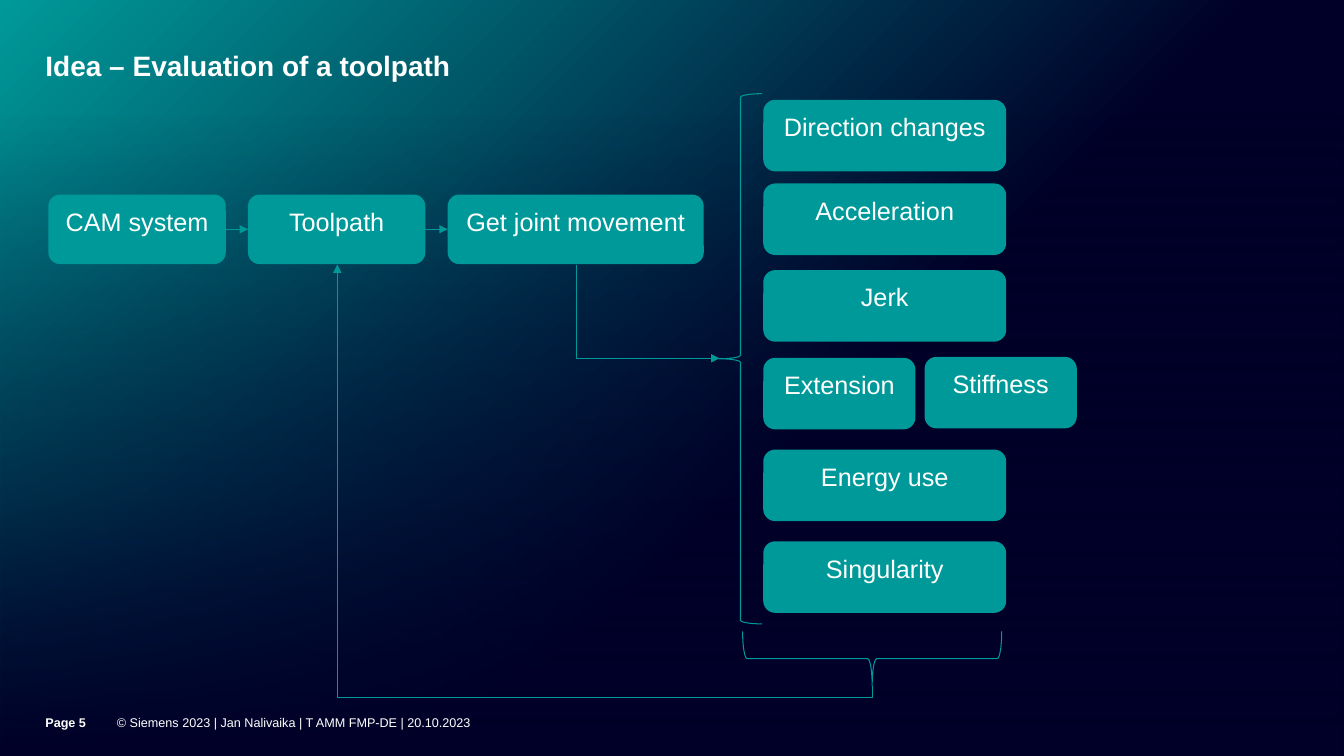
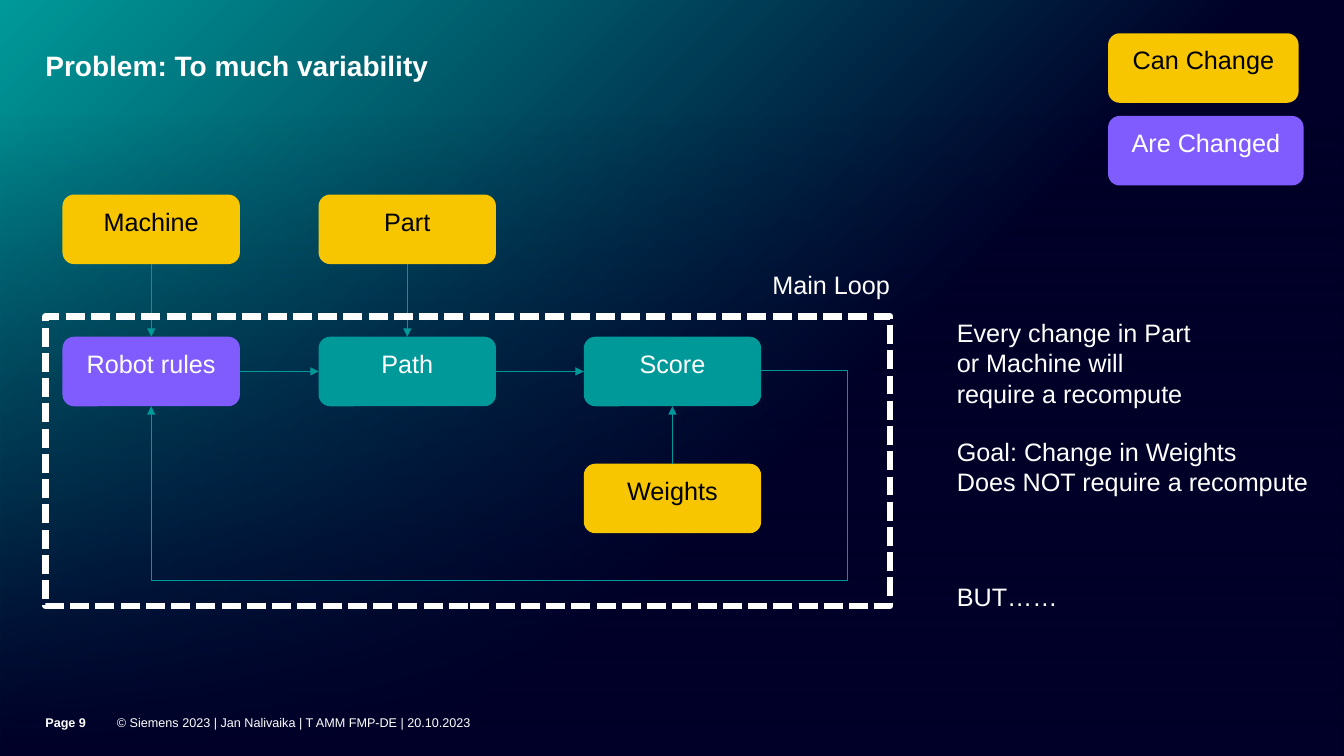
"""Build two slides on evaluating a toolpath and coping with its variability."""
from dataclasses import dataclass
from enum import IntEnum
from typing import Any, NamedTuple, Optional

from lxml import etree
from pptx import Presentation
from pptx import presentation as pr
from pptx import slide as sl
from pptx import util as u
from pptx.dml import color as c
from pptx.enum import dml, shapes, text
from pptx.oxml import ns
from pptx.shapes import autoshape as au
from pptx.shapes import connector as cn
from pptx.text import text as tt


@dataclass(frozen=True)
class Theme:
    """Colours, type sizes and line widths of the deck."""
    night: c.RGBColor = c.RGBColor(0x00, 0x00, 0x28)
    petrol: c.RGBColor = c.RGBColor(0x00, 0x99, 0x99)
    yellow: c.RGBColor = c.RGBColor(0xF7, 0xC6, 0x00)
    purple: c.RGBColor = c.RGBColor(0x80, 0x5C, 0xFF)
    white: c.RGBColor = c.RGBColor(0xFF, 0xFF, 0xFF)
    black: c.RGBColor = c.RGBColor(0x00, 0x00, 0x00)
    font: str = "Arial"
    title: u.Pt = u.Pt(20)
    body: u.Pt = u.Pt(18)
    footer: u.Pt = u.Pt(9)
    thin: u.Pt = u.Pt(0.75)
    thick: u.Pt = u.Pt(4.5)


THEME = Theme()
COPYRIGHT = "© Siemens 2023 | Jan Nalivaika | T AMM FMP-DE | 20.10.2023"
STEP_WIDTH, STEP_HEIGHT = 1.76, 0.69
METRIC_LEFT, METRIC_WIDTH, METRIC_HEIGHT = 7.57, 2.41, 0.71


class Side(IntEnum):
    """Connection sites of a rectangle."""
    TOP = 0
    LEFT = 1
    BOTTOM = 2
    RIGHT = 3


class Area(NamedTuple):
    """Position and size in inches."""
    left: float
    top: float
    width: float
    height: float

    def lengths(self) -> list[u.Length]:
        """Return the four values as lengths."""
        return [u.Inches(value) for value in self]


class Stop(NamedTuple):
    """Gradient stop in percent."""
    position: int
    opacity: int
    colour: c.RGBColor


@dataclass(frozen=True)
class Node:
    """Rounded box of a flow chart."""
    label: str
    left: float
    top: float
    width: float = STEP_WIDTH
    height: float = STEP_HEIGHT
    fill: c.RGBColor = THEME.petrol
    ink: c.RGBColor = THEME.white


@dataclass(frozen=True)
class Elbow:
    """Bent arrow given by its unrotated begin and end points."""
    preset: str
    begin: tuple[float, float]
    end: tuple[float, float]
    turn: int = 0
    adjustments: tuple[int, ...] = ()


@dataclass(frozen=True)
class Note:
    """Free text that keeps its own line breaks."""
    area: Area
    lines: tuple[str, ...]


def assign(target: Any, values: dict[str, Any]) -> None:
    """Set each named attribute of the target."""
    for name, value in values.items():
        setattr(target, name, value)


def write(frame: tt.TextFrame, lines: tuple[str, ...], size: u.Length,
          ink: c.RGBColor = THEME.white, bold: bool = False,
          insets: tuple[float, ...] = (0, 0, 0, 0),
          layout: Optional[dict[str, Any]] = None,
          paragraph_format: Optional[dict[str, Any]] = None) -> None:
    """Fill a text frame with formatted paragraphs."""
    sides = ("margin_left", "margin_top", "margin_right", "margin_bottom")
    frame_format = {"word_wrap": True, "vertical_anchor": text.MSO_ANCHOR.TOP}
    frame_format.update(zip(sides, map(u.Inches, insets)))
    assign(frame, {**frame_format, **(layout or {})})
    for index, line in enumerate(lines):
        paragraph = frame.add_paragraph() if index else frame.paragraphs[0]
        assign(paragraph, {"alignment": text.PP_ALIGN.LEFT, **(paragraph_format or {})})
        run = paragraph.add_run()
        run.text = line
        assign(run.font, {"name": THEME.font, "size": size, "bold": bold})
        run.font.color.rgb = ink


def set_gradient(owner: Any, stops: list[Stop], shade: str,
                 shade_values: dict[str, str], focus: Optional[dict[str, str]] = None) -> None:
    """Replace the stops and direction of the owner's gradient."""
    gradient = owner.find(f".//{ns.qn('a:gradFill')}")
    for child in list(gradient):
        gradient.remove(child)
    stop_list = etree.SubElement(gradient, ns.qn("a:gsLst"))
    for stop in stops:
        entry = etree.SubElement(stop_list, ns.qn("a:gs"), pos=str(stop.position * 1000))
        tint = etree.SubElement(entry, ns.qn("a:srgbClr"), val=str(stop.colour))
        if stop.opacity < 100:
            etree.SubElement(tint, ns.qn("a:alpha"), val=str(stop.opacity * 1000))
    direction = etree.SubElement(gradient, ns.qn(shade), shade_values)
    if focus:
        etree.SubElement(direction, ns.qn("a:fillToRect"), focus)


def add_outline(slide: sl.Slide, kind: shapes.MSO_SHAPE, area: Area,
                ink: c.RGBColor, width: u.Length) -> au.Shape:
    """Draw an unfilled shape."""
    outline = slide.shapes.add_shape(kind, *area.lengths())
    outline.shadow.inherit = False
    outline.fill.background()
    outline.line.color.rgb = ink
    outline.line.width = width
    return outline


def add_node(slide: sl.Slide, node: Node) -> au.Shape:
    """Draw a labelled rounded box."""
    area = Area(node.left, node.top, node.width, node.height)
    box = slide.shapes.add_shape(shapes.MSO_SHAPE.ROUNDED_RECTANGLE, *area.lengths())
    box.shadow.inherit = False
    box.fill.solid()
    box.fill.fore_color.rgb = node.fill
    box.line.fill.background()
    write(box.text_frame, (node.label,), THEME.body, node.ink,
          insets=(0.12, 0.08, 0.12, 0.08),
          paragraph_format={"alignment": text.PP_ALIGN.CENTER})
    return box


def add_note(slide: sl.Slide, note: Note) -> None:
    """Draw free text."""
    box = slide.shapes.add_textbox(*note.area.lengths())
    write(box.text_frame, note.lines, THEME.body,
          layout={"word_wrap": False, "auto_size": text.MSO_AUTO_SIZE.SHAPE_TO_FIT_TEXT})


def style_arrow(arrow: cn.Connector) -> None:
    """Give a connector its colour, width and arrowhead."""
    arrow.line.color.rgb = THEME.petrol
    arrow.line.width = THEME.thin
    properties = arrow.element.spPr
    etree.SubElement(properties.find(ns.qn("a:ln")), ns.qn("a:tailEnd"), type="triangle")
    etree.SubElement(properties, ns.qn("a:effectLst"))


def join(slide: sl.Slide, source: au.Shape, source_side: Side,
         target: au.Shape, target_side: Side) -> None:
    """Draw a straight arrow between two boxes."""
    arrow = slide.shapes.add_connector(shapes.MSO_CONNECTOR.STRAIGHT, 0, 0, 0, 0)
    arrow.begin_connect(source, source_side)
    arrow.end_connect(target, target_side)
    style_arrow(arrow)


def add_elbow(slide: sl.Slide, elbow: Elbow) -> None:
    """Draw a bent arrow."""
    arrow = slide.shapes.add_connector(
        shapes.MSO_CONNECTOR.ELBOW, *map(u.Inches, elbow.begin + elbow.end))
    properties = arrow.element.spPr
    if elbow.turn:
        properties.find(ns.qn("a:xfrm")).set("rot", str(elbow.turn * 60000))
    geometry = properties.find(ns.qn("a:prstGeom"))
    geometry.set("prst", elbow.preset)
    guides = geometry.find(ns.qn("a:avLst"))
    if guides is None:
        guides = etree.SubElement(geometry, ns.qn("a:avLst"))
    for number, value in enumerate(elbow.adjustments, 1):
        etree.SubElement(guides, ns.qn("a:gd"), name=f"adj{number}", fmla=f"val {value}")
    style_arrow(arrow)


def set_backdrop(deck: pr.Presentation, layout: sl.SlideLayout, slide: sl.Slide) -> None:
    """Put the glow on the master and the fading band on the layout."""
    master = deck.slide_master
    master.background.fill.gradient()
    set_gradient(master.element, [Stop(40, 100, THEME.night), Stop(100, 100, THEME.petrol)],
                 "a:path", {"path": "circle"},
                 {"l": "100000", "t": "100000", "r": "0", "b": "0"})
    band = slide.shapes.add_shape(shapes.MSO_SHAPE.RECTANGLE,
                                  *Area(0, 1.15, 13.33, 6.35).lengths())
    band.shadow.inherit = False
    band.line.fill.background()
    band.fill.gradient()
    set_gradient(band.element, [Stop(0, 100, THEME.night), Stop(40, 50, THEME.night),
                                Stop(100, 0, THEME.night)],
                 "a:lin", {"ang": str(270 * 60000), "scaled": "0"})
    layout.shapes.element.insert(2, band.element)


def start_slide(deck: pr.Presentation, layout: sl.SlideLayout,
                heading: str, page: int) -> sl.Slide:
    """Add a slide with its title and footer."""
    slide = deck.slides.add_slide(layout)
    title = slide.shapes.title
    assign(title, dict(zip(Area._fields, Area(0.45, 0.52, 10.79, 0.63).lengths())))
    write(title.text_frame, (heading,), THEME.title, bold=True, insets=(0, 0, 0.35, 0.02),
          layout={"auto_size": text.MSO_AUTO_SIZE.NONE},
          paragraph_format={"line_spacing": 0.9})
    footers = ((COPYRIGHT, 1.16, 10.08, False), (f"Page {page}", 0.45, 0.71, True))
    for label, left, width, bold in footers:
        footer = slide.shapes.add_textbox(*Area(left, 6.9, width, 0.6).lengths())
        write(footer.text_frame, (label,), THEME.footer, bold=bold, insets=(0, 0, 0, 0.07),
              layout={"vertical_anchor": text.MSO_ANCHOR.MIDDLE})
    return slide


def draw_evaluation(slide: sl.Slide) -> None:
    """Draw the path from the toolpath to its metrics and back."""
    steps = (("CAM system", STEP_WIDTH), ("Toolpath", STEP_WIDTH), ("Get joint movement", 2.54))
    flow = [add_node(slide, Node(label, 0.48 + 1.98 * index, 1.93, width))
            for index, (label, width) in enumerate(steps)]
    metrics = (("Direction changes", 0.99), ("Acceleration", 1.82), ("Jerk", 2.68),
               ("Energy use", 4.46), ("Singularity", 5.37))
    for label, top in metrics:
        add_node(slide, Node(label, METRIC_LEFT, top, METRIC_WIDTH, METRIC_HEIGHT))
    for label, left, top in (("Extension", METRIC_LEFT, 3.55), ("Stiffness", 9.17, 3.54)):
        add_node(slide, Node(label, left, top, 1.51, METRIC_HEIGHT))
    for source, target in zip(flow, flow[1:]):
        join(slide, source, Side.RIGHT, target, Side.LEFT)
    add_outline(slide, shapes.MSO_SHAPE.LEFT_BRACE, Area(7.13, 0.93, 0.43, 5.26),
                THEME.petrol, THEME.thin)
    feedback_brace = add_outline(slide, shapes.MSO_SHAPE.RIGHT_BRACE,
                                 Area(8.38, 5.25, 0.54, 2.57), THEME.petrol, THEME.thin)
    feedback_brace.rotation = 90
    add_elbow(slide, Elbow("bentConnector2", (6.89, 2.38), (5.96, 3.8), 270))
    add_elbow(slide, Elbow("bentConnector3", (3.91, 7.37), (8.09, 2.06), 270, (-2800,)))


def draw_variability(slide: sl.Slide) -> None:
    """Draw the main loop with its changing inputs."""
    changeable = {"fill": THEME.yellow, "ink": THEME.black}
    rules_left, path_left, score_left = 0.62, 3.16, 5.79
    input_top, loop_top = 1.93, 3.34
    rules = add_node(slide, Node("Robot rules", rules_left, loop_top, fill=THEME.purple))
    part = add_node(slide, Node("Part", path_left, input_top, **changeable))
    path_step = add_node(slide, Node("Path", path_left, loop_top))
    score = add_node(slide, Node("Score", score_left, loop_top))
    weights = add_node(slide, Node("Weights", score_left, 4.6, **changeable))
    machine = add_node(slide, Node("Machine", rules_left, input_top, **changeable))
    add_node(slide, Node("Can Change", 10.99, 0.33, 1.89, **changeable))
    add_node(slide, Node("Are Changed", 10.99, 1.15, 1.94, fill=THEME.purple))
    for source, target in ((machine, rules), (part, path_step)):
        join(slide, source, Side.BOTTOM, target, Side.TOP)
    for source, target in ((rules, path_step), (path_step, score)):
        join(slide, source, Side.RIGHT, target, Side.LEFT)
    join(slide, weights, Side.TOP, score, Side.BOTTOM)
    add_elbow(slide, Elbow("bentConnector4", (7.55, 3.68), (1.5, 4.03), 0, (-14100, 593200)))
    loop = add_outline(slide, shapes.MSO_SHAPE.RECTANGLE, Area(0.45, 3.14, 8.38, 2.87),
                       THEME.white, THEME.thick)
    loop.line.dash_style = dml.MSO_LINE.SQUARE_DOT
    notes = (
        Note(Area(7.66, 2.67, 1.18, 0.3), ("Main Loop",)),
        Note(Area(9.49, 3.15, 2.34, 0.91),
             ("Every change in Part", "or Machine will", "require a recompute")),
        Note(Area(9.49, 4.33, 3.59, 0.61),
             ("Goal: Change in Weights", "Does NOT require a recompute")),
        Note(Area(9.49, 5.77, 1.01, 0.3), ("BUT……",)),
    )
    for note in notes:
        add_note(slide, note)


def main() -> None:
    """Build and save the deck."""
    deck = Presentation()
    assign(deck, {"slide_width": u.Inches(13.33), "slide_height": u.Inches(7.5)})
    layout = deck.slide_layouts.get_by_name("Title Only")
    evaluation = start_slide(deck, layout, "Idea – Evaluation of a toolpath", 5)
    set_backdrop(deck, layout, evaluation)
    draw_evaluation(evaluation)
    draw_variability(start_slide(deck, layout, "Problem: To much variability", 9))
    deck.save("out.pptx")


if __name__ == "__main__":
    main()
